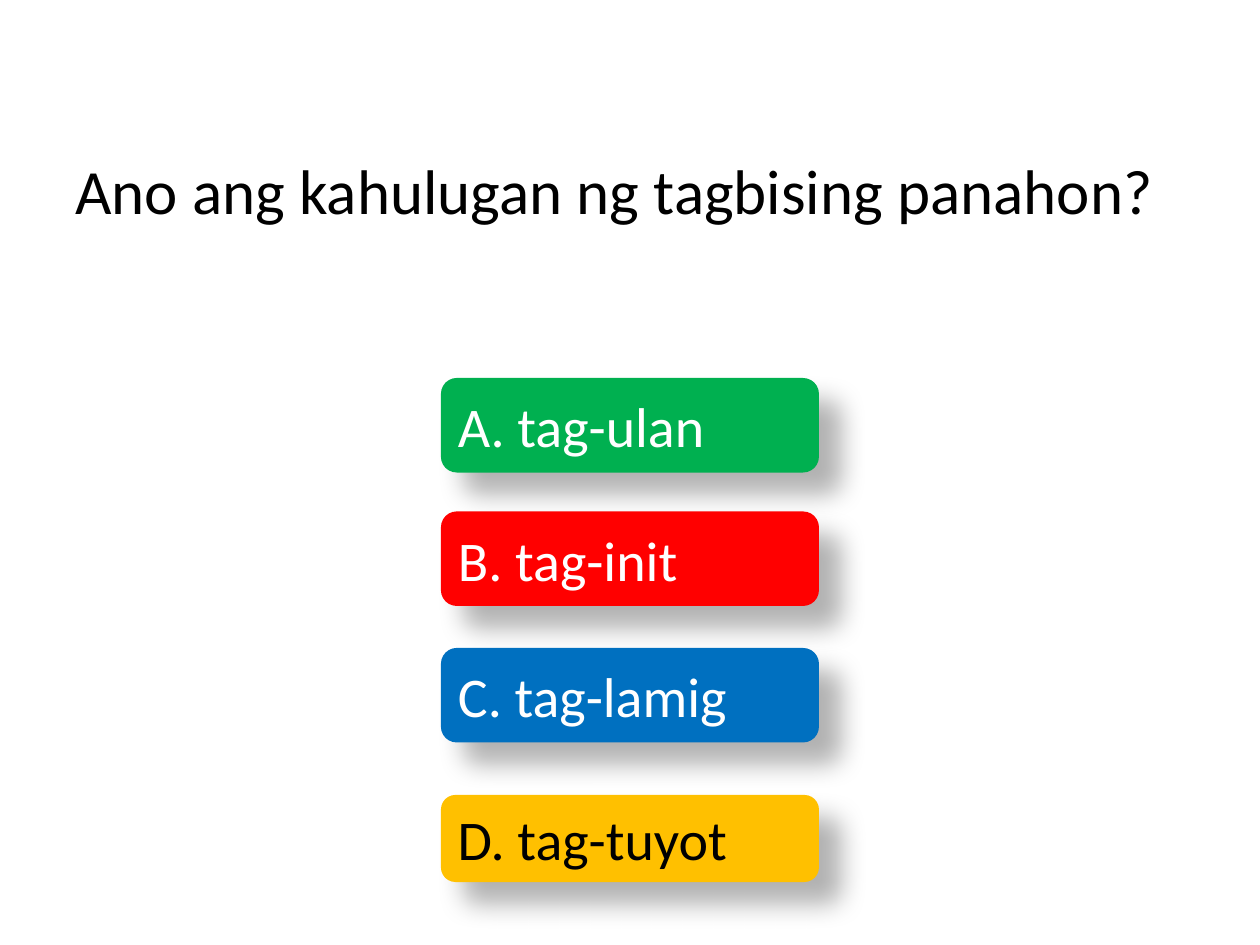
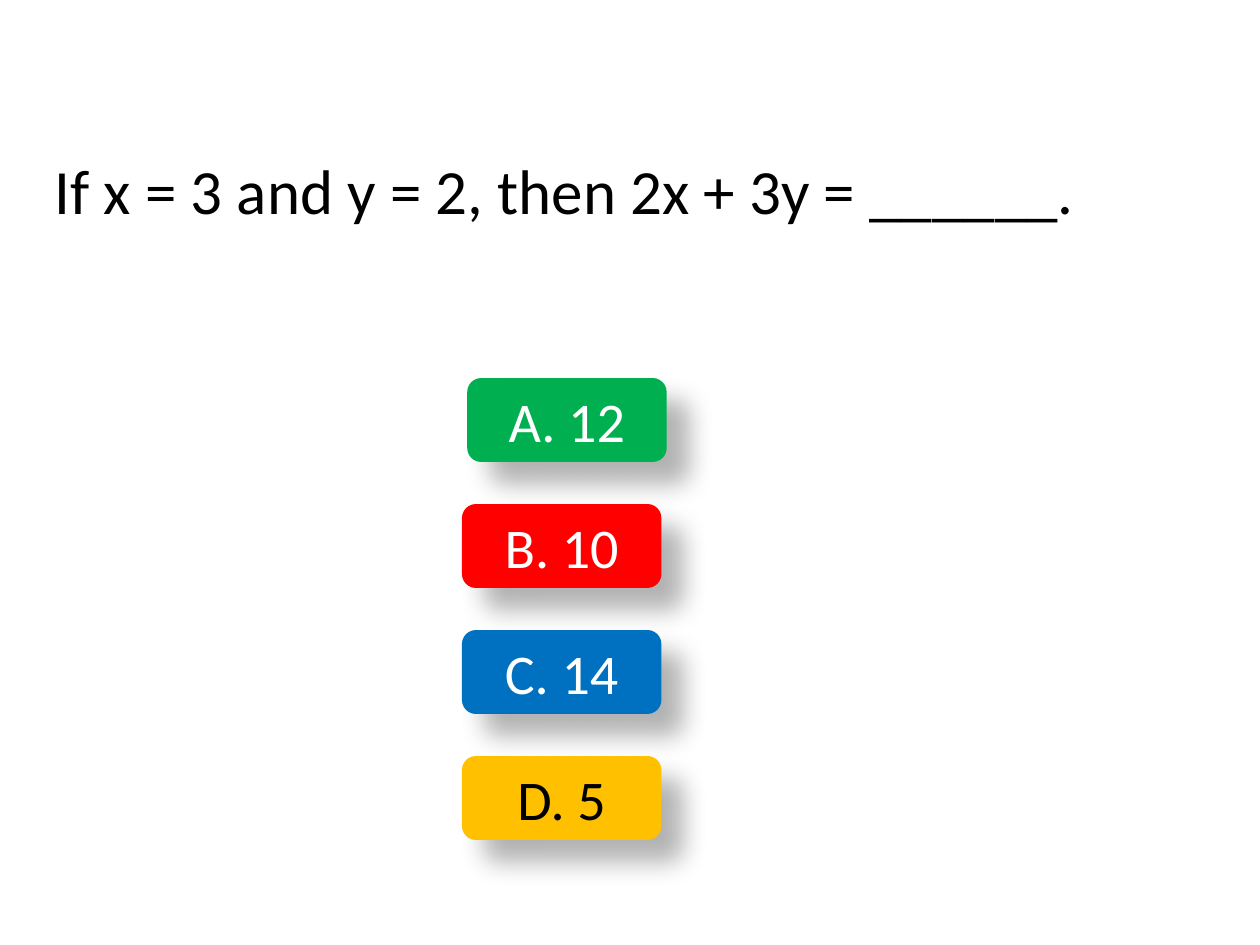
from dataclasses import dataclass

from lxml.etree import SubElement
from pptx import Presentation
from pptx.dml.color import RGBColor
from pptx.enum.shapes import MSO_SHAPE
from pptx.enum.text import MSO_ANCHOR, PP_ALIGN
from pptx.oxml.ns import qn
from pptx.shapes.autoshape import Shape
from pptx.slide import Slide
from pptx.util import Pt

FONT = "Calibri"
BLACK = "000000"
WHITE = "FFFFFF"
CHOICE_COLOURS = [("00B050", WHITE), ("FF0000", WHITE), ("0070C0", WHITE), ("FFC000", BLACK)]


@dataclass(frozen=True)
class Box:
    left: float
    top: float
    width: float
    height: float

    def lengths(self) -> list[Pt]:
        return [Pt(n) for n in (self.left, self.top, self.width, self.height)]


@dataclass(frozen=True)
class Choice:
    text: str
    box: Box


@dataclass(frozen=True)
class Question:
    text: str
    box: Box
    choices: list[Choice]
    choice_align: PP_ALIGN


QUESTIONS = [
    Question(
        "Ano ang kahulugan ng tagbising panahon?",
        Box(36, 30, 648, 156),
        [
            Choice("A. tag-ulan", Box(252, 216, 216, 54)),
            Choice("B. tag-init", Box(252, 292.25, 216, 54)),
            Choice("C. tag-lamig", Box(252, 370.25, 216, 54)),
            Choice("D. tag-tuyot", Box(252, 454.25, 216, 49.75)),
        ],
        PP_ALIGN.JUSTIFY,
    ),
    Question(
        "If x = 3 and y = 2, then 2x + 3y = ______.",
        Box(24, 30, 678, 156),
        [
            Choice(answer, Box(264 if row else 267, 216 + 72 * row, 114, 48))
            for row, answer in enumerate(["A. 12", "B. 10", "C. 14", "D. 5"])
        ],
        PP_ALIGN.CENTER,
    ),
]


def colour(value: str) -> RGBColor:
    return RGBColor.from_string(value)


def write(shape: Shape, text: str, size: float, text_colour: str, align: PP_ALIGN) -> None:
    frame = shape.text_frame
    frame.word_wrap = True
    frame.vertical_anchor = MSO_ANCHOR.MIDDLE
    paragraph = frame.paragraphs[0]
    paragraph.text = text
    paragraph.alignment = align
    paragraph.font.name = FONT
    paragraph.font.size = Pt(size)
    paragraph.font.color.rgb = colour(text_colour)


def cast_shadow(shape: Shape) -> None:
    shape.shadow.inherit = False
    effects = shape.element.spPr.find(qn("a:effectLst"))
    shadow = SubElement(
        effects,
        qn("a:outerShdw"),
        blurRad=str(Pt(15)),
        dist=str(Pt(18)),
        dir=str(45 * 60000),
        algn="tl",
        rotWithShape="0",
    )
    shade = SubElement(shadow, qn("a:srgbClr"), val=BLACK)
    SubElement(shade, qn("a:alpha"), val="30000")


def add_choice(slide: Slide, choice: Choice, fill: str, text_colour: str, align: PP_ALIGN) -> None:
    button = slide.shapes.add_shape(MSO_SHAPE.ROUNDED_RECTANGLE, *choice.box.lengths())
    button.fill.solid()
    button.fill.fore_color.rgb = colour(fill)
    button.line.fill.background()
    cast_shadow(button)
    write(button, choice.text, 32, text_colour, align)


def add_question(slide: Slide, question: Question) -> None:
    title = slide.shapes.add_textbox(*question.box.lengths())
    write(title, question.text, 36, BLACK, PP_ALIGN.JUSTIFY)
    for choice, (fill, text_colour) in zip(question.choices, CHOICE_COLOURS):
        add_choice(slide, choice, fill, text_colour, question.choice_align)


def main() -> None:
    quiz = Presentation()
    quiz.slide_width, quiz.slide_height = Pt(720), Pt(540)
    for question in QUESTIONS:
        add_question(quiz.slides.add_slide(quiz.slide_layouts[6]), question)
    quiz.save("out.pptx")


if __name__ == "__main__":
    main()
